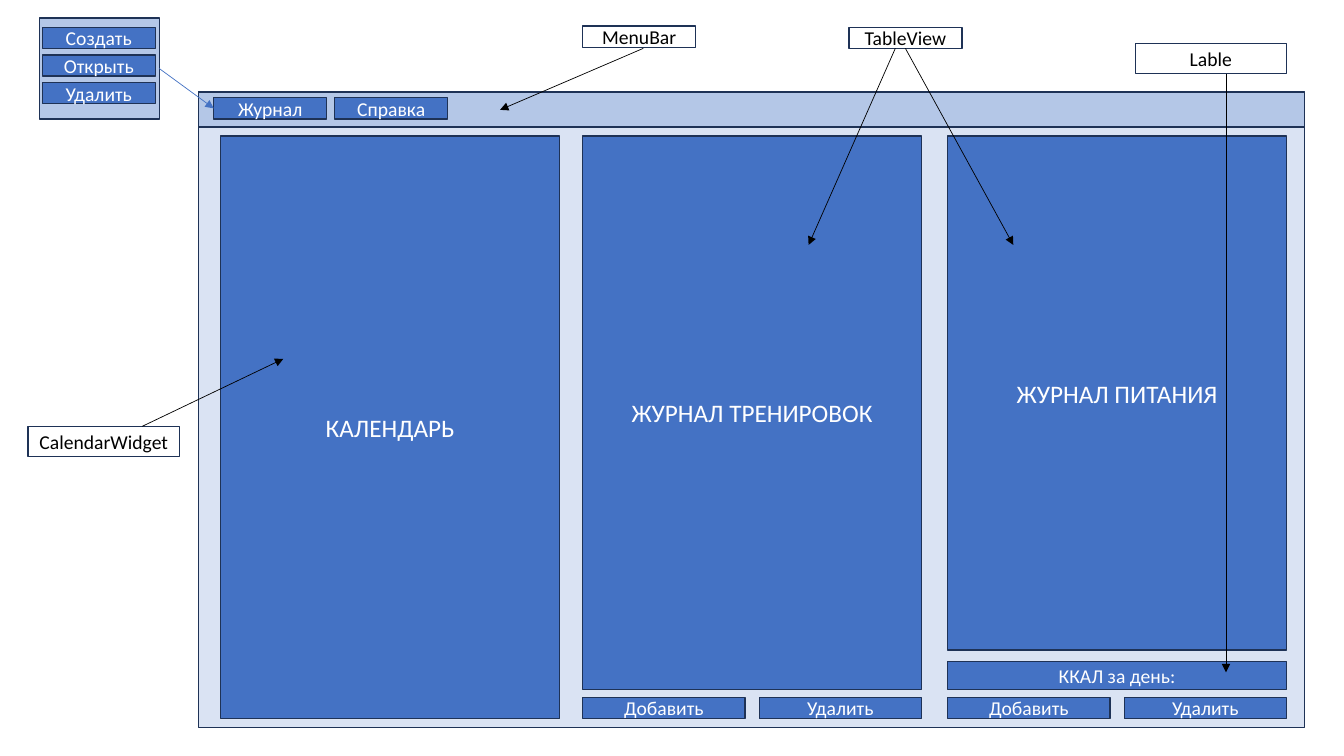
"""Builds a wireframe of a training and nutrition diary window."""
from dataclasses import dataclass

from lxml.etree import SubElement
from pptx import Presentation
from pptx.dml.color import RGBColor
from pptx.enum.shapes import MSO_CONNECTOR, MSO_SHAPE
from pptx.enum.text import MSO_ANCHOR, PP_ALIGN
from pptx.oxml.ns import qn
from pptx.util import Inches, Pt


@dataclass(frozen=True)
class Theme:
    """Colours, font and sizes of the wireframe."""
    window: str = "DAE3F3"
    bar: str = "B4C7E7"
    widget: str = "4472C4"
    edge: str = "1E3256"
    light: str = "FFFFFF"
    dark: str = "000000"
    font: str = "Calibri"
    heading: int = 18
    label: int = 14


@dataclass(frozen=True)
class Grid:
    """Columns, rows and cell sizes in inches."""
    columns: tuple = (2.19, 5.78, 9.4)
    column_w: float = 3.36
    window_x: float = 1.97
    window_w: float = 10.97
    panel_y: float = 1.35
    button_y: float = 6.92
    button_w: float = 1.61
    item_w: float = 1.12
    item_h: float = 0.21
    menu_step: float = 1.2
    popup_step: float = 0.275
    callout_w: float = 1.5
    callout_h: float = 0.3


THEME = Theme()
GRID = Grid()


def add_box(slide, x, y, w, h, text="", fill=None, color=THEME.light, size=THEME.label):
    """Add an outlined rectangle with optional fill and centred text."""
    sp = slide.shapes.add_shape(MSO_SHAPE.RECTANGLE, Inches(x), Inches(y), Inches(w), Inches(h))
    sp.shadow.inherit = False
    if fill:
        sp.fill.solid()
        sp.fill.fore_color.rgb = RGBColor.from_string(fill)
    else:
        sp.fill.background()
    sp.line.color.rgb = RGBColor.from_string(THEME.edge)
    sp.line.width = Pt(1)
    if text:
        tf = sp.text_frame
        tf.word_wrap = True
        tf.vertical_anchor = MSO_ANCHOR.MIDDLE
        p = tf.paragraphs[0]
        p.text = text
        p.alignment = PP_ALIGN.CENTER
        p.font.name = THEME.font
        p.font.size = Pt(size)
        p.font.color.rgb = RGBColor.from_string(color)
    return sp


def add_item(slide, x, y, text):
    """Add a menu item."""
    return add_box(slide, x, y, GRID.item_w, GRID.item_h, text, THEME.widget)


def add_panel(slide, column, h, text):
    """Add a main panel in a column of the window."""
    return add_box(slide, GRID.columns[column], GRID.panel_y, GRID.column_w, h, text,
                   THEME.widget, size=THEME.heading)


def add_buttons(slide, column):
    """Add the two buttons at the left and right edges of a column."""
    left = GRID.columns[column]
    right = left + GRID.column_w - GRID.button_w
    for x, text in ((left, "Добавить"), (right, "Удалить")):
        add_box(slide, x, GRID.button_y, GRID.button_w, GRID.item_h, text, THEME.widget)


def add_callout(slide, x, y, w, h, text):
    """Add an unfilled label that names a widget."""
    return add_box(slide, x, y, w, h, text, color=THEME.dark)


def add_arrow(slide, start, end, color=THEME.dark):
    """Add a thin arrow between two points."""
    points = [Inches(v) for v in (*start, *end)]
    cxn = slide.shapes.add_connector(MSO_CONNECTOR.STRAIGHT, *points)
    cxn.line.color.rgb = RGBColor.from_string(color)
    cxn.line.width = Pt(0.5)
    SubElement(cxn.line._get_or_add_ln(), qn("a:tailEnd"), type="triangle")
    SubElement(cxn._element.spPr, qn("a:effectLst"))
    return cxn


def add_window(slide):
    """Add the window, its menu bar, panels and buttons; return the first menu item."""
    add_box(slide, GRID.window_x, 0.91, GRID.window_w, 6.31, fill=THEME.window)
    add_box(slide, GRID.window_x, 0.92, GRID.window_w, 0.34, fill=THEME.bar)
    journal, _ = [add_item(slide, 2.12 + i * GRID.menu_step, 0.97, text)
                  for i, text in enumerate(("Журнал", "Справка"))]
    panels = ((5.78, "КАЛЕНДАРЬ"), (5.49, "ЖУРНАЛ ТРЕНИРОВОК"), (5.1, "ЖУРНАЛ ПИТАНИЯ"))
    for column, (h, text) in enumerate(panels):
        add_panel(slide, column, h, text)
    add_box(slide, GRID.columns[2], 6.56, GRID.column_w, 0.28, "ККАЛ за день:", THEME.widget)
    for column in (1, 2):
        add_buttons(slide, column)
    return journal


def add_popup(slide, journal):
    """Add the drop-down menu and join it to its menu item."""
    popup = add_box(slide, 0.39, 0.18, 1.19, 1, fill=THEME.bar)
    for i, text in enumerate(("Создать", "Открыть", "Удалить")):
        add_item(slide, 0.42, 0.27 + i * GRID.popup_step, text)
    cxn = add_arrow(slide, (1.58, 0.68), (2.12, 1.08), THEME.widget)
    cxn.begin_connect(popup, 3)
    cxn.end_connect(journal, 1)


def add_callouts(slide):
    """Add the widget names and the arrows to their widgets."""
    small = (GRID.item_w, GRID.item_h)
    large = (GRID.callout_w, GRID.callout_h)
    add_callout(slide, GRID.columns[1], 0.26, *small, "MenuBar")
    table_view = add_callout(slide, 8.42, 0.27, *small, "TableView")
    add_callout(slide, 11.26, 0.43, *large, "Lable")
    add_callout(slide, 0.28, 4.23, *large, "CalendarWidget")
    add_arrow(slide, (6.38, 0.48), (4.96, 1.09))
    add_arrow(slide, (8.88, 0.48), (8.02, 2.43))
    add_arrow(slide, (9, 0.48), (10.05, 2.43)).begin_connect(table_view, 2)
    add_arrow(slide, (12.16, 0.73), (12.16, 6.67))
    add_arrow(slide, (1.41, 4.23), (2.81, 3.56))


def main():
    """Build and save the slide."""
    prs = Presentation()
    prs.slide_width, prs.slide_height = Inches(13.33), Inches(7.5)
    slide = prs.slides.add_slide(prs.slide_layouts[6])
    journal = add_window(slide)
    add_popup(slide, journal)
    add_callouts(slide)
    prs.save("out.pptx")


if __name__ == "__main__":
    main()
